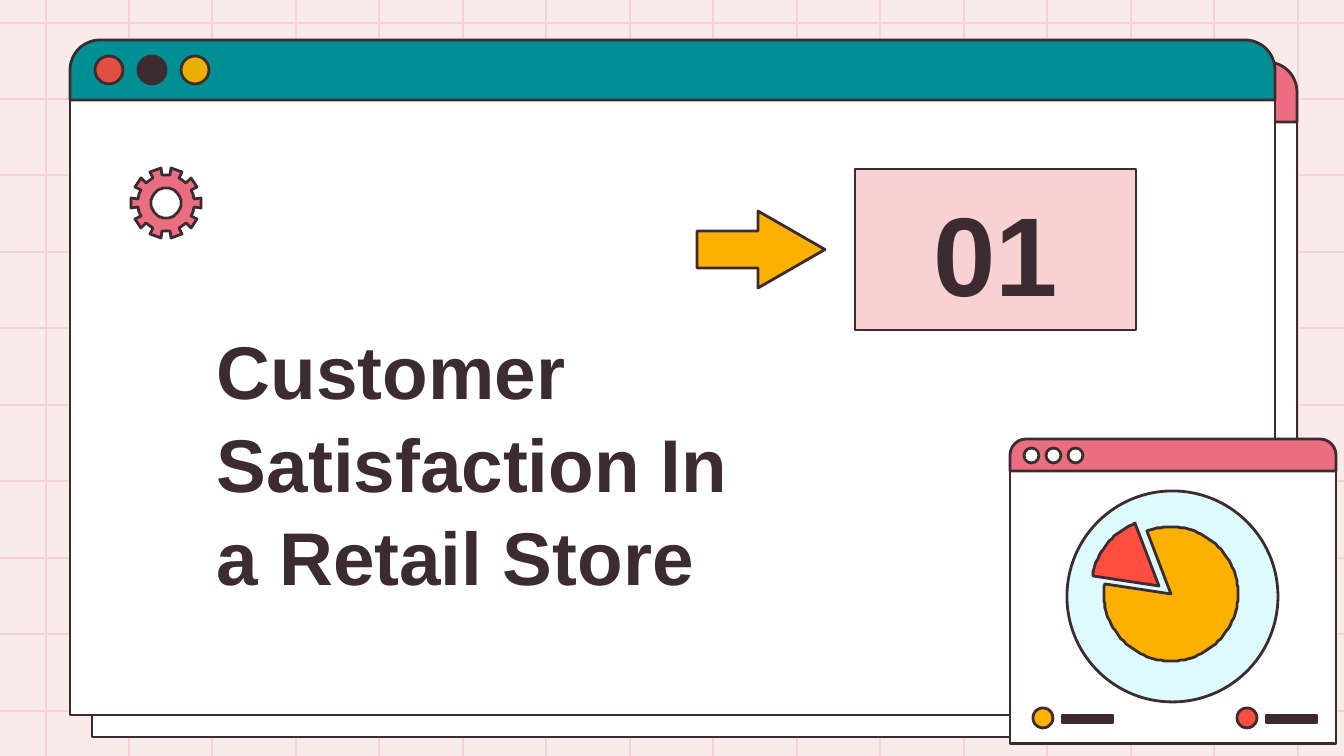
from math import cos, radians, sin

from lxml import etree
from pptx import Presentation
from pptx.dml.color import RGBColor
from pptx.enum.shapes import MSO_CONNECTOR, MSO_SHAPE
from pptx.enum.text import MSO_ANCHOR, MSO_AUTO_SIZE, PP_ALIGN
from pptx.oxml.ns import qn
from pptx.util import Pt

RECT, OVAL, ARROW = MSO_SHAPE.RECTANGLE, MSO_SHAPE.OVAL, MSO_SHAPE.RIGHT_ARROW
ROUND_TOP = MSO_SHAPE.ROUND_2_SAME_RECTANGLE
STRAIGHT = MSO_CONNECTOR.STRAIGHT

INK = RGBColor(0x3C, 0x2C, 0x31)
BAR = RGBColor(0x3E, 0x28, 0x2C)
WHITE = RGBColor(0xFF, 0xFF, 0xFF)
BLUSH = RGBColor(0xFA, 0xEB, 0xEB)
PINK = RGBColor(0xF8, 0xD2, 0xD2)
ROSE = RGBColor(0xEB, 0x6E, 0x80)
TEAL = RGBColor(0x00, 0x8F, 0x95)
BRICK = RGBColor(0xE2, 0x4E, 0x42)
GOLD = RGBColor(0xE9, 0xB0, 0x00)
AMBER = RGBColor(0xFC, 0xB1, 0x00)
RED = RGBColor(0xFF, 0x4D, 0x3F)
ICE = RGBColor(0xDD, 0xFB, 0xFC)

PX = 914400 / 134.4

prs = Presentation()
prs.slide_width, prs.slide_height = round(1344 * PX), round(756 * PX)
s = prs.slides.add_slide(prs.slide_layouts[5])
s.background.fill.solid()
s.background.fill.fore_color.rgb = BLUSH


def add(kind, x, y, w, h, fill):
    sp = s.shapes.add_shape(kind, *(round(v * PX) for v in (x, y, w, h)))
    sp.shadow.inherit = False
    sp.fill.solid()
    sp.fill.fore_color.rgb = fill
    sp.line.color.rgb = INK
    sp.line.width = Pt(1.5)
    return sp


def outline(cx, cy, contours, fill):
    fb = None
    for contour in contours:
        points = [(cx + r * cos(radians(a)), cy + r * sin(radians(a))) for r, a in contour]
        if fb is None:
            fb = s.shapes.build_freeform(*points[0], scale=PX)
        else:
            fb.move_to(*points[0])
        fb.add_line_segments(points[1:], close=True)
    sp = fb.convert_to_shape()
    sp.shadow.inherit = False
    sp.fill.solid()
    sp.fill.fore_color.rgb = fill
    sp.line.color.rgb = INK
    sp.line.width = Pt(1.5)


columns = [46 + 1252 * i // 15 for i in range(16)]
rows = [23 + 688 * i // 9 for i in range(10)]
grid = [(x, 782, x, -48) for x in columns] + [(-30, y, 1374, y) for y in rows]
for ends in grid:
    ln = s.shapes.add_connector(STRAIGHT, *(round(v * PX) for v in ends))
    ln.line.color.rgb = PINK
    ln.line.width = Pt(1.5)
    etree.SubElement(ln._element.spPr, qn("a:effectLst"))

for offset, header in ((22, ROSE), (0, TEAL)):
    x, y = 70 + offset, 40 + offset
    add(RECT, x, y + 60, 1205, 615, WHITE)
    sp = add(ROUND_TOP, x, y, 1205, 60, header)
    sp.adjustments[0] = 0.5
    for i, colour in enumerate((BRICK, INK, GOLD)):
        add(OVAL, x + 25 + 43 * i, y + 16, 28, 28, colour)

title = s.shapes.title
s.shapes._spTree.append(title._element)
title.left, title.top, title.width, title.height = (round(v * PX) for v in (204, 395, 581, 219))
number = add(RECT, 855, 169, 281, 161, PINK)
for sp, text, size, anchor, align in (
    (title, "Customer Satisfaction In a Retail Store", 40, MSO_ANCHOR.BOTTOM, PP_ALIGN.LEFT),
    (number, "01", 60, MSO_ANCHOR.MIDDLE, PP_ALIGN.CENTER),
):
    tf = sp.text_frame
    tf.text = text
    tf.word_wrap = True
    tf.auto_size = MSO_AUTO_SIZE.NONE
    tf.vertical_anchor = anchor
    tf.margin_left = tf.margin_right = tf.margin_top = tf.margin_bottom = round(13 * PX)
    p = tf.paragraphs[0]
    p.alignment = align
    p.line_spacing = 1.04
    r = p.runs[0]
    r.font.name = "Arial"
    r.font.size = Pt(size)
    r.font.bold = True
    r.font.color.rgb = INK

arrow = add(ARROW, 697, 211, 128, 77, AMBER)
arrow.adjustments[0] = 0.48
arrow.adjustments[1] = 0.87

add(RECT, 1010, 471, 326, 273, WHITE)
for x, colour in ((1033, AMBER), (1237, RED)):
    add(RECT, x + 29, 715, 51, 8, BAR)
    add(OVAL, x, 708, 20, 20, colour)
sp = add(ROUND_TOP, 1010, 439, 326, 32, ROSE)
sp.adjustments[0] = 0.5
for i in range(3):
    add(OVAL, 1024 + 22 * i, 448, 15, 15, WHITE)

add(OVAL, 1067, 491, 211, 211, ICE)
for cx, cy, start, end, colour in ((1171, 594, 249, 549, AMBER), (1159, 586, 189, 249, RED)):
    arc = [(67, a) for a in range(start, end + 1, 3)]
    outline(cx, cy, [[(0, 0)] + arc], colour)

hole = [(15, a) for a in range(0, 360, 6)]
teeth = []
for a in range(0, 360, 36):
    teeth += [(28, a - 9), (35, a - 9), (35, a + 9), (28, a + 9), (28, a + 18)]
outline(166, 203, [hole, teeth], ROSE)

prs.save("out.pptx")
